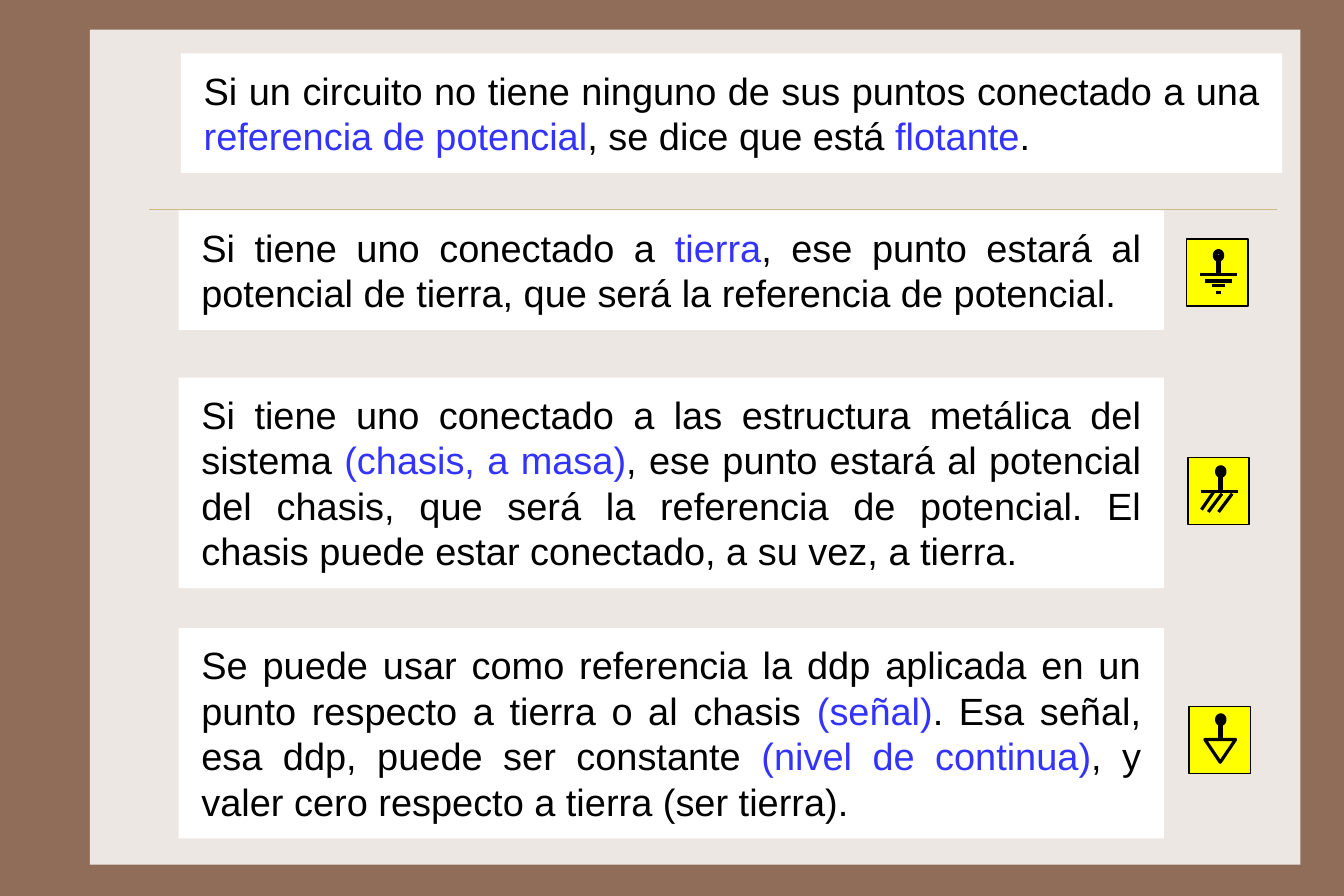
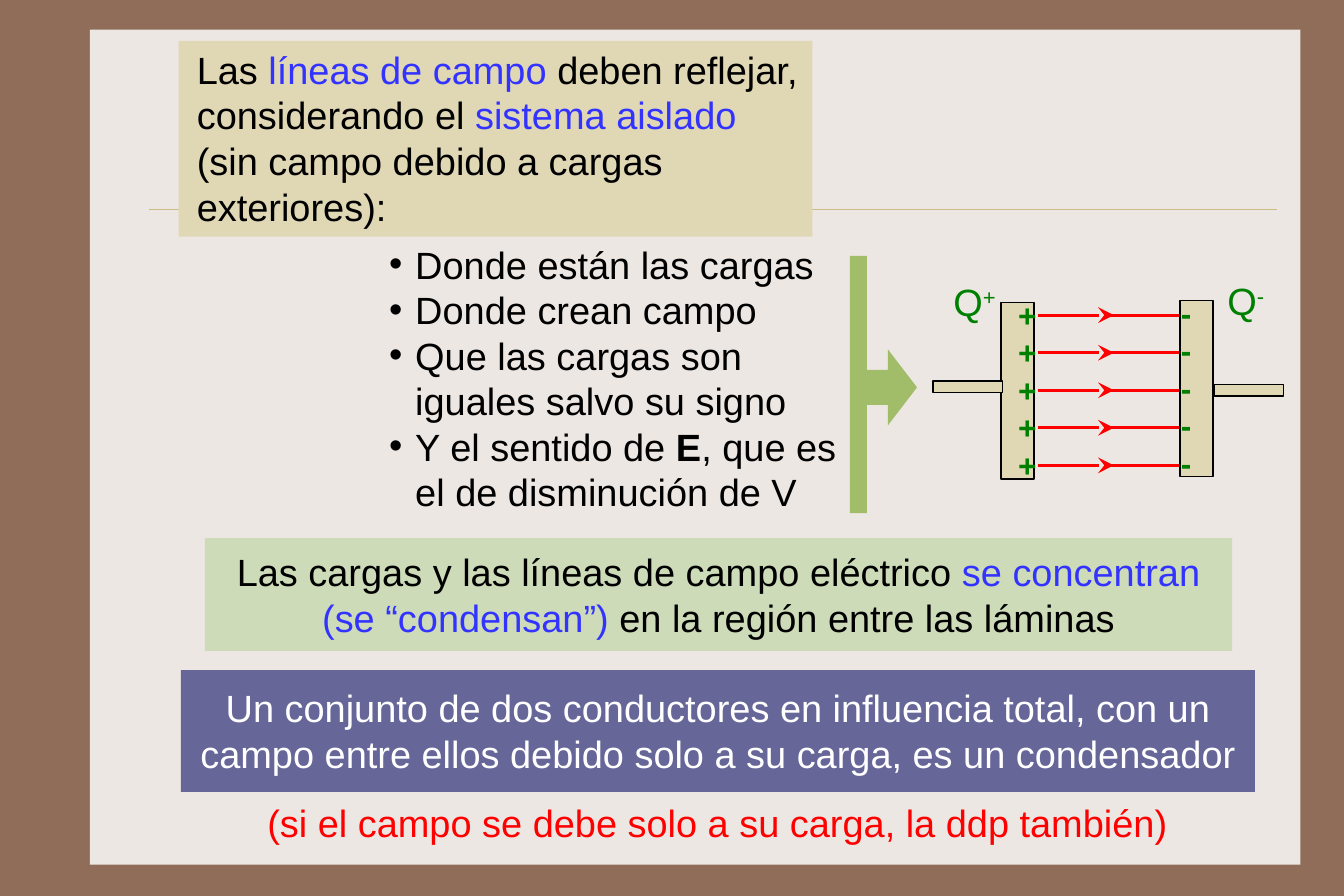
import pptx
import pptx.dml.color
import pptx.enum.shapes
import pptx.enum.text
import pptx.oxml.ns
import pptx.util
from lxml import etree
from pptx.util import Inches

SHAPE = pptx.enum.shapes.MSO_SHAPE
ANCHOR = pptx.enum.text.MSO_ANCHOR
ALIGN = pptx.enum.text.PP_ALIGN


class Theme:
    border, panel, rule = "906D58", "EDE7E3", "CBBD83"
    black, white, red = "000000", "FFFFFF", "FF0000"
    key, green, yellow, dot = "3333FF", "008000", "FFFF00", "3694B6"
    sand, arrow, mint, violet = "E0D7B5", "A1BD69", "CDDBB9", "666699"
    font, body, charge = "Arial", 24, 20
    rule_line, thin, medium, thick = 0.25, 1, 2, 3


KEY = {"color": Theme.key}
RAISED = {"baseline": "30000"}

# Content: a run is plain text or (text, format)
REFERENCES = [
    ((1.59, 0.47, 9.68, 1.05),
     ["Si un circuito no tiene ninguno de sus puntos conectado a una ",
      ("referencia de potencial", KEY), ", se dice que está ", ("flotante", KEY), "."]),
    ((1.57, 1.85, 8.66, 1.05),
     ["Si tiene uno conectado a ", ("tierra", KEY),
      ", ese punto estará al potencial de tierra, que será la referencia de potencial."]),
    ((1.57, 3.32, 8.66, 1.85),
     ["Si tiene uno conectado a las estructura metálica del sistema ",
      ("(chasis, a masa)", KEY),
      ", ese punto estará al potencial del chasis, que será la referencia de potencial. "
      "El chasis puede estar conectado, a su vez, a tierra."]),
    ((1.57, 5.52, 8.66, 1.85),
     ["Se puede usar como referencia la ddp aplicada en un punto respecto a tierra o al chasis ",
      ("(señal)", KEY), ". Esa señal, esa ddp, puede ser constante ",
      ("(nivel de continua)", KEY), ", y valer cero respecto a tierra (ser tierra)."]),
]

# Symbols: tile corner, terminal centre, terminal colour, strokes measured from that centre
EARTH_BARS = [(0.16, 0.17), (0.12, 0.23), (0.06, 0.27), (0.02, 0.33)]
SYMBOLS = [
    ((10.43, 2.10), (10.71, 2.24), Theme.dot,
     [(-half, drop, half, drop) for half, drop in EARTH_BARS]),
    ((10.44, 4.02), (10.73, 4.14), Theme.black,
     [(-0.17, 0.18, 0.15, 0.18), (-0.17, 0.34, -0.06, 0.18),
      (-0.11, 0.36, 0.01, 0.20), (-0.02, 0.36, 0.10, 0.20)]),
    ((10.45, 6.21), (10.73, 6.32), Theme.black, []),
]
SIGNAL_TRIANGLE = (10.59, 6.50, 0.27, 0.20)

FIELD_INTRO = [["Las ", ("líneas de campo ", KEY), "deben reflejar, considerando el ",
                ("sistema aislado ", KEY), "(sin campo debido a cargas exteriores):"]]
FIELD_POINTS = [
    ["Donde están las cargas"],
    ["Donde crean campo"],
    ["Que las cargas son iguales salvo su signo"],
    ["Y el sentido de ", ("E", {"bold": True}), ", que es el de disminución de V"],
]
CONCENTRATION = [["Las cargas y las líneas de campo eléctrico ",
                  ("se concentran (se “condensan”)", KEY),
                  " en la región entre las láminas"]]
DEFINITION = [["Un conjunto de dos conductores en influencia total, con un campo entre ellos "
               "debido solo a su carga, es un condensador"]]
REMARK = [["(si el campo se debe solo a su carga, la ddp también)"]]

# Capacitor
CONDUCTORS = [(8.80, 2.66, 0.29, 1.55), (10.37, 2.64, 0.29, 1.55),
              (8.20, 3.35, 0.61, 0.10), (10.67, 3.38, 0.61, 0.10)]
PLATE_NAMES = [("+", (8.28, 2.40, 0.59, 0.51)), ("-", (10.69, 2.39, 0.53, 0.51))]
CHARGES = [("+", (8.85, 2.55, 0.36, 0.44)), ("-", (10.28, 2.53, 0.29, 0.44))]
FIELD_LINES, FIELD_TOP, FIELD_STEP = 5, 2.77, 0.33


def rgb(color):
    return pptx.dml.color.RGBColor.from_string(color)


def add_box(slide, box, fill=None, line=None, width=Theme.thin, kind=SHAPE.RECTANGLE):
    shape = slide.shapes.add_shape(kind, *map(Inches, box))
    shape.shadow.inherit = False
    if fill:
        shape.fill.solid()
        shape.fill.fore_color.rgb = rgb(fill)
    else:
        shape.fill.background()
    if line:
        shape.line.color.rgb = rgb(line)
        shape.line.width = pptx.util.Pt(width)
    else:
        shape.line.fill.background()
    return shape


def add_line(slide, start, end, color=Theme.black, width=Theme.medium, arrow=False):
    connector = slide.shapes.add_connector(
        pptx.enum.shapes.MSO_CONNECTOR.STRAIGHT, *map(Inches, (*start, *end)))
    connector.line.color.rgb = rgb(color)
    connector.line.width = pptx.util.Pt(width)
    properties = connector._element.spPr
    if arrow:
        outline = properties.find(pptx.oxml.ns.qn("a:ln"))
        etree.SubElement(outline, pptx.oxml.ns.qn("a:tailEnd"),
                         type="stealth", w="lg", len="lg")
    etree.SubElement(properties, pptx.oxml.ns.qn("a:effectLst"))


def add_text(slide, box, paragraphs, fill=None, color=Theme.black, size=Theme.body,
             bold=False, align=ALIGN.LEFT, anchor=ANCHOR.TOP,
             margins=(0.1, 0.05, 0.1, 0.05), wrap=True, hanging=None):
    if fill:
        shape = add_box(slide, box, fill)
    else:
        shape = slide.shapes.add_textbox(*map(Inches, box))
    frame = shape.text_frame
    frame.word_wrap = wrap
    frame.vertical_anchor = anchor
    (frame.margin_left, frame.margin_top,
     frame.margin_right, frame.margin_bottom) = map(Inches, margins)
    for index, runs in enumerate(paragraphs):
        paragraph = frame.paragraphs[0] if index == 0 else frame.add_paragraph()
        paragraph.alignment = align
        if hanging:
            properties = paragraph._p.get_or_add_pPr()
            properties.set("marL", str(Inches(hanging)))
            properties.set("indent", str(-Inches(hanging)))
            etree.SubElement(properties, pptx.oxml.ns.qn("a:buFont"), typeface=Theme.font)
            etree.SubElement(properties, pptx.oxml.ns.qn("a:buChar"), char="•")
        for item in runs:
            text, style = (item, {}) if isinstance(item, str) else item
            run = paragraph.add_run()
            run.text = text
            run.font.name = Theme.font
            run.font.size = pptx.util.Pt(size)
            run.font.bold = style.get("bold", bold)
            run.font.color.rgb = rgb(style.get("color", color))
            if "baseline" in style:
                run._r.get_or_add_rPr().set("baseline", style["baseline"])


def add_framed_slide(presentation):
    slide = presentation.slides.add_slide(presentation.slide_layouts[6])
    add_box(slide, (0.79, 0.26, 10.64, 7.34), Theme.panel)
    add_line(slide, (1.31, 1.84), (11.22, 1.84), Theme.rule, Theme.rule_line)
    return slide


def add_symbol(slide, corner, terminal, dot, strokes):
    x, y = terminal
    add_box(slide, (*corner, 0.54, 0.59), Theme.yellow, Theme.black)
    add_box(slide, (x - 0.03, y - 0.03, 0.06, 0.07), dot, Theme.black, Theme.thick, SHAPE.OVAL)
    add_line(slide, terminal, (x, y + 0.18), width=Theme.thick)
    for x1, y1, x2, y2 in strokes:
        add_line(slide, (x + x1, y + y1), (x + x2, y + y2))


def build_references(presentation):
    slide = add_framed_slide(presentation)
    for symbol in SYMBOLS:
        add_symbol(slide, *symbol)
    add_box(slide, SIGNAL_TRIANGLE, line=Theme.black, width=Theme.medium,
            kind=SHAPE.FLOWCHART_MERGE)
    for box, runs in REFERENCES:
        add_text(slide, box, [runs], fill=Theme.white, align=ALIGN.JUSTIFY,
                 margins=(0.2, 0.12, 0.2, 0.12))


def add_capacitor(slide):
    # Field lines: an arrow to the middle, then a plain stretch
    for index in range(FIELD_LINES):
        y = FIELD_TOP + index * FIELD_STEP
        add_line(slide, (9.12, y), (9.79, y), Theme.red, arrow=True)
        add_line(slide, (9.71, y), (10.37, y), Theme.red)
    for box in CONDUCTORS:
        add_box(slide, box, Theme.sand, Theme.black)
    # Plate names and charges
    for sign, box in PLATE_NAMES:
        add_text(slide, box, [["Q", (sign, RAISED)]], color=Theme.green, wrap=False)
    for sign, (left, top, width, height) in CHARGES:
        for index in range(FIELD_LINES):
            add_text(slide, (left, top + index * FIELD_STEP, width, height), [[sign]],
                     color=Theme.green, size=Theme.charge, bold=True, wrap=False)


def build_capacitor(presentation):
    slide = add_framed_slide(presentation)
    add_text(slide, (1.57, 0.36, 5.57, 1.72), FIELD_INTRO, fill=Theme.sand,
             margins=(0.16, 0.05, 0.1, 0.05))
    add_capacitor(slide)
    # Bracket with arrow
    arrow = add_box(slide, (7.61, 3.07, 0.45, 0.67), Theme.arrow, kind=SHAPE.RIGHT_ARROW)
    arrow.adjustments[0], arrow.adjustments[1] = 0.46, 0.57
    add_box(slide, (7.47, 2.25, 0.15, 2.26), Theme.arrow)
    # Points and conclusions
    add_text(slide, (3.26, 2.07, 4.25, 2.53), FIELD_POINTS, hanging=0.23,
             margins=(0.16, 0.05, 0.1, 0.05))
    add_text(slide, (1.80, 4.73, 9.03, 0.99), CONCENTRATION, fill=Theme.mint,
             align=ALIGN.CENTER, anchor=ANCHOR.MIDDLE, margins=(0.16, 0.09, 0.16, 0.09))
    add_text(slide, (1.59, 5.89, 9.44, 1.07), DEFINITION, fill=Theme.violet,
             color=Theme.white, align=ALIGN.CENTER, margins=(0.1, 0.13, 0.1, 0.13))
    add_text(slide, (2.13, 6.98, 8.35, 0.50), REMARK, color=Theme.red, align=ALIGN.CENTER)


def main():
    presentation = pptx.Presentation()
    # A 3:2 page, 63/8 inches high
    presentation.slide_width, presentation.slide_height = Inches(189 / 16), Inches(63 / 8)
    background = presentation.slide_master.background.fill
    background.solid()
    background.fore_color.rgb = rgb(Theme.border)
    build_references(presentation)
    build_capacitor(presentation)
    presentation.save("out.pptx")


if __name__ == "__main__":
    main()
